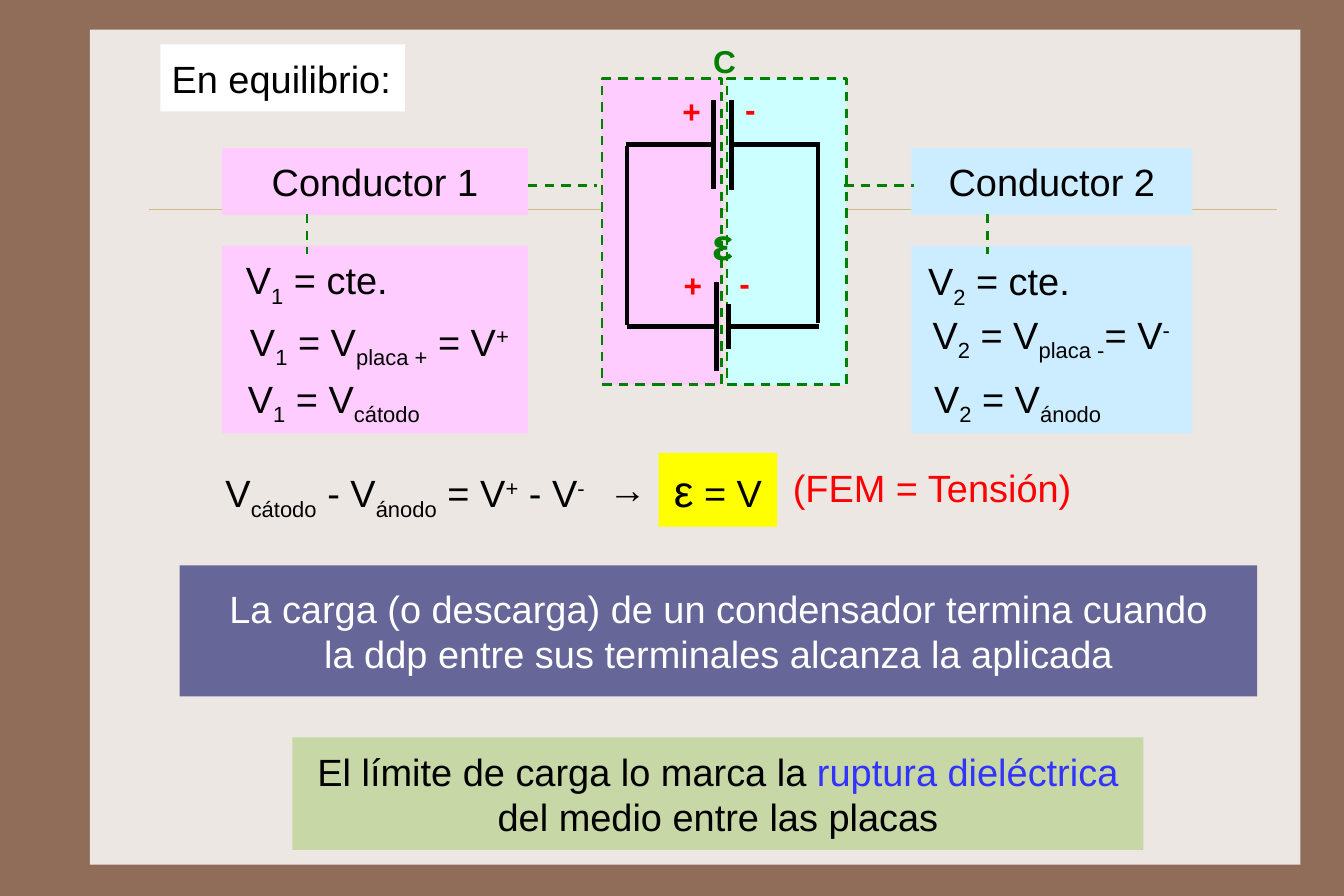
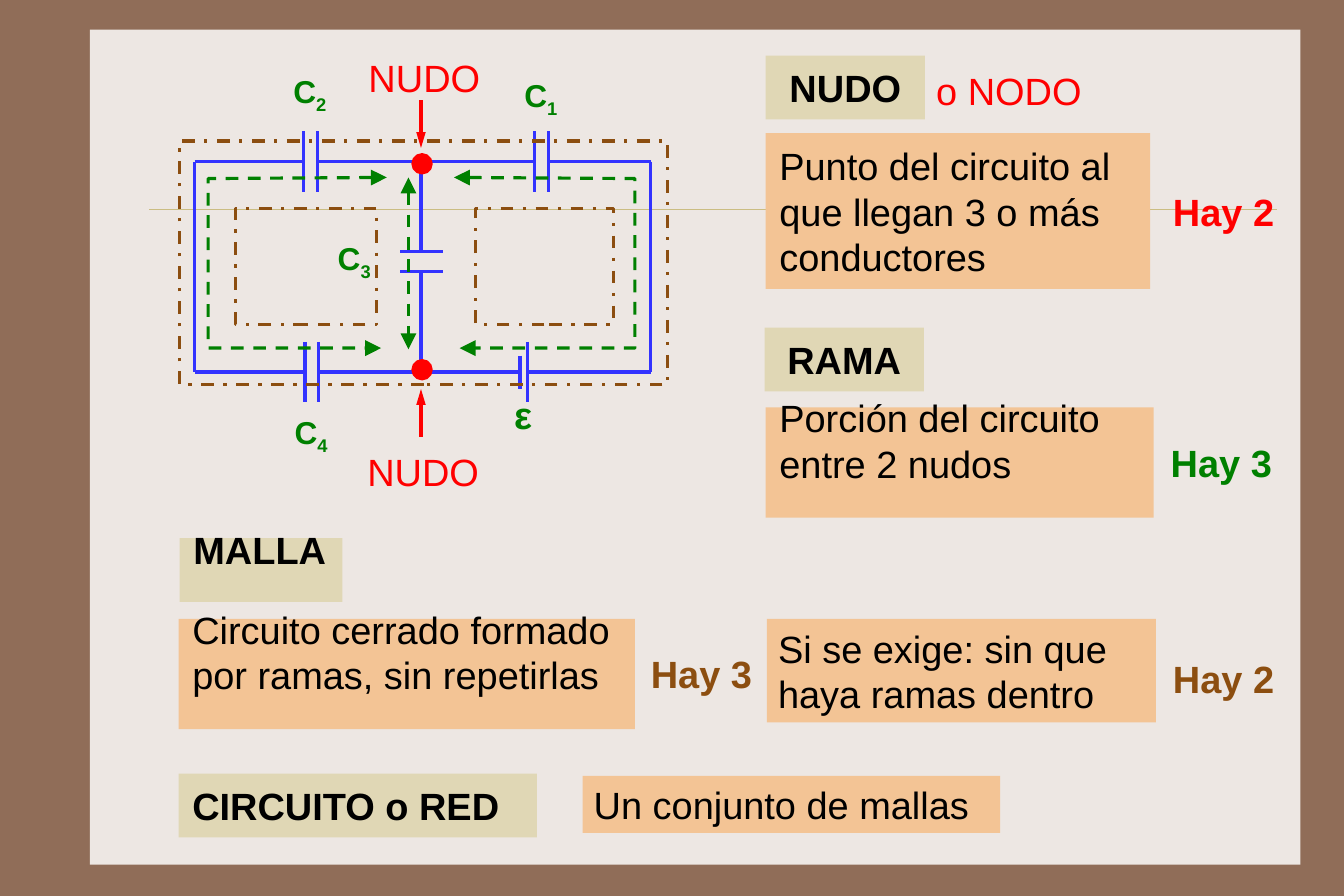
from pptx import Presentation
from pptx.dml.color import RGBColor
from pptx.enum.dml import MSO_LINE
from pptx.enum.shapes import MSO_CONNECTOR, MSO_SHAPE
from pptx.enum.text import MSO_ANCHOR, MSO_AUTO_SIZE, PP_ALIGN
from pptx.oxml.ns import qn
from pptx.util import Inches, Pt
from lxml.etree import SubElement

FONT = "Arial"
SLIDE_WIDTH, SLIDE_HEIGHT = Inches(189 / 16), Inches(63 / 8)
BACKGROUND, PANEL, RULE = "906D58", "EDE7E3", "CBBD83"
BLACK, WHITE, RED, GREEN, BLUE, BROWN = "000000", "FFFFFF", "FF0000", "008000", "3333FF", "8C4E10"
PINK, SKY, CYAN, YELLOW = "FFCCFF", "CCECFF", "CCFFFF", "FFFF00"
PURPLE, OLIVE, SAND, ORANGE = "666699", "C7D7A5", "E0D7B5", "F3C495"
BASELINES = {"_": "-25000", "^": "30000"}

CONDUCTORS = [
    dict(name="Conductor 1", left=1.95, width=2.69, fill=PINK, stem=2.7, equations=[
        ("V|_1| = cte.", (1.46, 2.19, 2.65, 0.59)),
        ("V|_1| = V|_placa +| = V|^+", (1.14, 2.73, 4.39, 0.59)),
        ("V|_1| = V|_cátodo", (1.9, 3.23, 2.07, 0.59))]),
    dict(name="Conductor 2", left=8.01, width=2.47, fill=SKY, stem=8.68, equations=[
        ("V|_2| = cte.", (7.49, 2.2, 2.58, 0.59)),
        ("V|_2| = V|_placa -|= V|^-", (7.94, 2.67, 2.6, 0.59)),
        ("V|_2| = V|_ánodo", (7.91, 3.23, 2.07, 0.59))]),
]
HALVES = [(6.39, CYAN), (5.29, PINK)]
LINKS = [(7.42, 1.63, 8.03, 1.63), (4.64, 1.63, 5.25, 1.63)]
CELL_WIRES = [
    (5.51, 1.28, 5.51, 2.86), (7.19, 1.27, 7.19, 2.84),
    (6.3, 2.48, 6.3, 3.26), (6.4, 2.67, 6.4, 3.07),
    (7.2, 2.87, 6.41, 2.87), (6.3, 2.87, 5.51, 2.87),
    (6.27, 0.88, 6.27, 1.66), (6.43, 0.88, 6.43, 1.67),
    (7.21, 1.27, 6.42, 1.27), (6.29, 1.27, 5.5, 1.27),
]
CELL_LABELS = [
    ("ε", (6.16, 1.81, 0.37, 0.65), 28, GREEN),
    ("C", (6.17, 0.28, 0.4, 0.51), 20, GREEN),
    ("+", (5.9, 0.72, 0.36, 0.51), 20, RED),
    ("-", (6.45, 0.7, 0.29, 0.51), 20, RED),
    ("+", (5.91, 2.25, 0.36, 0.51), 20, RED),
    ("-", (6.4, 2.23, 0.29, 0.51), 20, RED),
]
BALANCE = "V|_cátodo| - V|_ánodo| = V|^+| - V|^-"
CHARGE_END = "La carga (o descarga) de un condensador termina cuando\vla ddp entre sus terminales alcanza la aplicada"
CHARGE_LIMIT = "El límite de carga lo marca la |*ruptura dieléctrica |del medio entre las placas"

TOP, BOTTOM, LEFT, MIDDLE, RIGHT = 1.42, 3.27, 1.71, 3.7, 5.72
VERTICAL_PLATES = [(2.67, TOP, 0.53), (2.79, TOP, 0.53), (4.7, TOP, 0.53), (4.82, TOP, 0.53),
                   (2.68, BOTTOM, 0.53), (2.8, BOTTOM, 0.53), (4.57, BOTTOM, 0.29), (4.64, BOTTOM, 0.53)]
NETWORK_WIRES = [
    (LEFT, TOP, 2.67, TOP), (2.79, TOP, 4.7, TOP), (4.82, TOP, RIGHT, TOP),
    (LEFT, BOTTOM, 2.68, BOTTOM), (2.8, BOTTOM, 4.57, BOTTOM), (4.64, BOTTOM, RIGHT, BOTTOM),
    (LEFT, TOP, LEFT, BOTTOM), (RIGHT, TOP, RIGHT, BOTTOM),
    (MIDDLE, TOP, MIDDLE, 2.21), (MIDDLE, 2.39, MIDDLE, BOTTOM),
    (3.52, 2.21, 3.89, 2.21), (3.52, 2.39, 3.89, 2.39),
]
CAPACITOR_LABELS = [("C|_2", 2.48, 0.57), ("C|_1", 4.51, 0.61), ("C|_3", 2.87, 2.04), ("C|_4", 2.49, 3.57)]
BRANCHES = [
    [(3.4, 1.56), (1.83, 1.57), (1.83, 3.06), (3.35, 3.06)],
    [(3.99, 1.56), (5.58, 1.57), (5.58, 3.06), (4.04, 3.06)],
]
MESHES = [(2.07, 1.83, 1.24, 1.02), (4.18, 1.83, 1.21, 1.02), (1.58, 1.24, 4.29, 2.14)]
NODE_ARROWS = [(MIDDLE, 0.88, MIDDLE, 1.3), (MIDDLE, 3.84, MIDDLE, 3.42)]
NODE_LABELS = [("NUDO", 3.14, 0.38), ("NUDO", 3.13, 3.84), ("o NODO", 8.13, 0.49)]
NODES = [3.17, 1.36]
TERMS = [
    ("NUDO", (6.73, 0.49, 1.4, 0.56), PP_ALIGN.CENTER, 0),
    ("RAMA", (6.72, 2.88, 1.4, 0.56), PP_ALIGN.CENTER, 0),
    ("MALLA", (1.58, 4.73, 1.43, 0.56), PP_ALIGN.LEFT, 0.37),
    ("CIRCUITO o RED", (1.57, 6.8, 3.15, 0.56), PP_ALIGN.LEFT, 0),
]
DEFINITIONS = [
    ("Punto del circuito al que llegan 3 o más conductores", (6.73, 1.17, 3.38, 1.37), 0.12, 0),
    ("Porción del circuito\nentre 2 nudos", (6.73, 3.58, 3.41, 0.97), 0.12, 0.39),
    ("Circuito cerrado formado\npor ramas, sin repetirlas", (1.57, 5.44, 4.01, 0.97), 0.12, 0.39),
    ("Si se exige: sin que haya ramas dentro", (6.74, 5.44, 3.42, 0.91), 0.1, 0),
    ("Un conjunto de mallas", (5.12, 6.82, 3.67, 0.5), 0.1, 0),
]
COUNTS = [("Hay 2", 10.23, 1.58, RED), ("Hay 3", 10.21, 3.78, GREEN),
          ("Hay 3", 5.64, 5.64, BROWN), ("Hay 2", 10.23, 5.68, BROWN)]


def rgb(color):
    return RGBColor.from_string(color)


def style_line(shape, color, width, dash=None):
    shape.line.color.rgb = rgb(color)
    shape.line.width = Pt(width)
    if dash:
        shape.line.dash_style = dash


def add_arrowheads(shape, ends, width):
    line = shape.line._get_or_add_ln()
    for end in ends:
        SubElement(line, qn(f"a:{end}"), type="triangle", w=width, len="lg")


def add_box(slide, box, fill=None, line=None, kind=MSO_SHAPE.RECTANGLE):
    shape = slide.shapes.add_shape(kind, *map(Inches, box))
    shape.shadow.inherit = False
    if fill:
        shape.fill.solid()
        shape.fill.fore_color.rgb = rgb(fill)
    else:
        shape.fill.background()
    if line:
        style_line(shape, *line)
    else:
        shape.line.fill.background()
    return shape


def add_line(slide, points, color, width, dash=None):
    connector = slide.shapes.add_connector(MSO_CONNECTOR.STRAIGHT, *map(Inches, points))
    style_line(connector, color, width, dash)
    SubElement(connector._element.spPr, qn("a:effectLst"))
    return connector


def add_text(slide, content, box, size=24, color=BLACK, bold=False, fill=None,
             align=PP_ALIGN.LEFT, pad=0.1, rise=0, wrap=True):
    """Write text whose parts, split by bars, start with _ (subscript), ^ (superscript) or * (blue)."""
    shape = add_box(slide, box, fill) if fill else slide.shapes.add_textbox(*map(Inches, box))
    frame = shape.text_frame
    frame.word_wrap = wrap
    frame.auto_size = MSO_AUTO_SIZE.NONE
    frame.vertical_anchor = MSO_ANCHOR.MIDDLE
    frame.margin_left = frame.margin_right = Inches(pad)
    frame.margin_top = Inches(0.05)
    frame.margin_bottom = Inches(0.05 + rise)
    frame.text = content.replace("|", "")
    for paragraph, source in zip(frame.paragraphs, content.split("\n")):
        paragraph.alignment = align
        if "|" in source:
            paragraph.clear()
            for part in source.split("|"):
                mark = part[0] if part[0] in "_^*" else ""
                run = paragraph.add_run()
                run.text = part[len(mark):]
                if mark in BASELINES:
                    run.font._element.set("baseline", BASELINES[mark])
                elif mark:
                    run.font.color.rgb = rgb(BLUE)
        for run in paragraph.runs:
            run.font.name = FONT
            run.font.size = Pt(size)
            run.font.bold = bold
            if run.font.color.type is None:
                run.font.color.rgb = rgb(color)
    return shape


def decorate_layout(presentation, layout):
    fill = presentation.slide_master.background.fill
    fill.solid()
    fill.fore_color.rgb = rgb(BACKGROUND)
    for placeholder in list(layout.placeholders):
        placeholder._element.getparent().remove(placeholder._element)
    slide = presentation.slides[0]
    panel = add_box(slide, (0.79, 0.26, 10.64, 7.34), PANEL)
    rule = add_line(slide, (1.31, 1.84, 11.22, 1.84), RULE, 0.25)
    for shape in (panel, rule):
        layout.shapes._spTree.append(shape._element)


def build_equilibrium(slide):
    for left, fill in HALVES:
        add_box(slide, (left, 0.69, 1.05, 2.69), fill, (GREEN, 1.5, MSO_LINE.DASH))
    for wire in CELL_WIRES:
        add_line(slide, wire, BLACK, 3)
    for label, box, size, color in CELL_LABELS:
        add_text(slide, label, box, size, color, True, wrap=False)
    add_text(slide, "En equilibrio:", (1.41, 0.39, 2.15, 0.59), fill=WHITE, wrap=False)
    for conductor in CONDUCTORS:
        left, width, fill, stem = (conductor[key] for key in ("left", "width", "fill", "stem"))
        add_text(slide, conductor["name"], (left, 1.3, width, 0.59), fill=fill, align=PP_ALIGN.CENTER)
        add_box(slide, (left, 2.16, width, 1.65), fill)
        add_line(slide, (stem, 1.88, stem, 2.23), GREEN, 1.5, MSO_LINE.DASH)
        for equation, box in conductor["equations"]:
            add_text(slide, equation, box, align=PP_ALIGN.CENTER)
    for link in LINKS:
        add_line(slide, link, GREEN, 1.5, MSO_LINE.DASH)
    add_text(slide, BALANCE, (1.62, 4.06, 3.88, 0.59), align=PP_ALIGN.CENTER)
    add_text(slide, "→", (5.25, 4.0, 0.55, 0.59))
    result = add_text(slide, "ε| = V", (5.79, 3.98, 1.04, 0.65), fill=YELLOW, align=PP_ALIGN.CENTER)
    result.text_frame.paragraphs[0].runs[0].font.size = Pt(28)
    add_text(slide, "(FEM = Tensión)", (6.87, 3.99, 2.7, 0.59), color=RED)
    add_text(slide, CHARGE_END, (1.58, 4.97, 9.47, 1.15), color=WHITE, fill=PURPLE, align=PP_ALIGN.CENTER)
    add_text(slide, CHARGE_LIMIT, (2.57, 6.48, 7.48, 0.99), fill=OLIVE, align=PP_ALIGN.CENTER)


def build_network(slide):
    plates = [(x, y - length / 2, x, y + length / 2) for x, y, length in VERTICAL_PLATES]
    for wire in plates + NETWORK_WIRES:
        add_line(slide, wire, BLUE, 2)
    for label, left, top in CAPACITOR_LABELS:
        add_text(slide, label, (left, top, 0.55, 0.5), 20, GREEN, True, wrap=False)
    add_text(slide, "ε", (4.42, 3.44, 0.37, 0.4), 24, GREEN, True, wrap=False)
    for start, *corners in BRANCHES:
        builder = slide.shapes.build_freeform(*map(Inches, start))
        builder.add_line_segments([tuple(map(Inches, corner)) for corner in corners], close=False)
        branch = builder.convert_to_shape()
        branch.shadow.inherit = False
        branch.fill.background()
        style_line(branch, GREEN, 2, MSO_LINE.DASH)
        add_arrowheads(branch, ("headEnd", "tailEnd"), "lg")
    middle_branch = add_line(slide, (3.59, 1.56, 3.59, 3.07), GREEN, 2, MSO_LINE.DASH)
    add_arrowheads(middle_branch, ("headEnd", "tailEnd"), "lg")
    for mesh in MESHES:
        add_box(slide, mesh, line=(BROWN, 2, MSO_LINE.DASH_DOT))
    for points in NODE_ARROWS:
        add_arrowheads(add_line(slide, points, RED, 2), ("tailEnd",), "med")
    for label, left, top in NODE_LABELS:
        add_text(slide, label, (left, top, 1.15, 0.6), color=RED, wrap=False)
    for term, box, align, rise in TERMS:
        add_text(slide, term, box, bold=True, fill=SAND, align=align, pad=0.12, rise=rise)
    for definition, box, pad, rise in DEFINITIONS:
        add_text(slide, definition, box, fill=ORANGE, pad=pad, rise=rise)
    for count, left, top, color in COUNTS:
        add_text(slide, count, (left, top, 1.06, 0.56), color=color, bold=True, pad=0.08, wrap=False)
    for top in NODES:
        add_box(slide, (3.63, top, 0.16, 0.16), RED, (RED, 2), MSO_SHAPE.OVAL)


def main():
    presentation = Presentation()
    presentation.slide_width, presentation.slide_height = SLIDE_WIDTH, SLIDE_HEIGHT
    layout = presentation.slide_layouts[6]
    slides = [presentation.slides.add_slide(layout) for _ in range(2)]
    decorate_layout(presentation, layout)
    for build, slide in zip((build_equilibrium, build_network), slides):
        build(slide)
    presentation.save("out.pptx")


if __name__ == "__main__":
    main()
